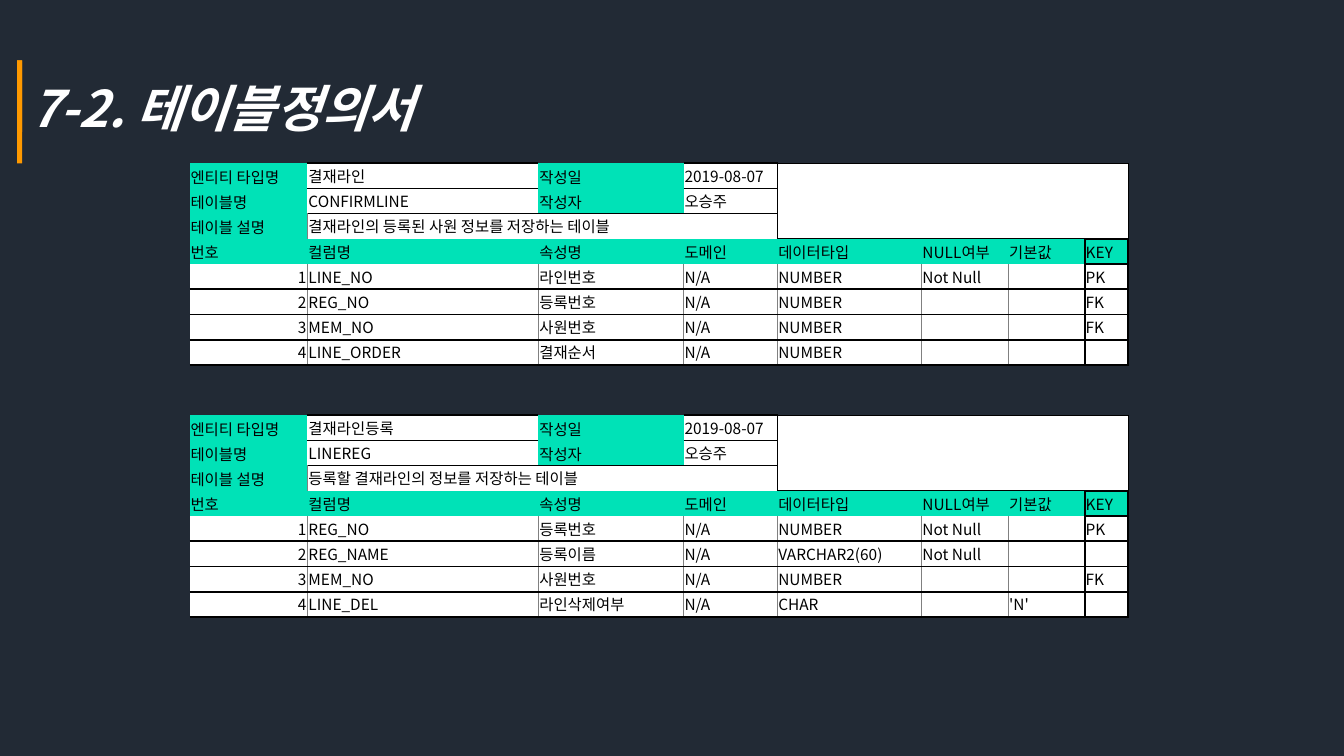
from lxml.etree import SubElement
from pptx import Presentation
from pptx.dml.color import RGBColor
from pptx.enum.shapes import MSO_SHAPE
from pptx.enum.text import MSO_ANCHOR, PP_ALIGN
from pptx.oxml.ns import qn
from pptx.util import Inches, Pt

FONT = "Noto Sans CJK KR"
NIGHT, TEAL, WHITE, BLACK, ORANGE = "222A35", "00E2B7", "FFFFFF", "000000", "FF9900"
GRAY, THIN, THICK = ("808080", 1), (BLACK, 0.75), (BLACK, 1.5)
COLS = [1.17, 2.29, 1.44, 0.93, 1.43, 0.86, 0.76, 0.43]
ROW = 0.25
HEADS = ["번호", "컬럼명", "속성명", "도메인", "데이터타입", "NULL여부", "기본값", "KEY"]


def color(code):
    return RGBColor.from_string(code)


def write(frame, text, size=11, tint=BLACK, bold=False, italic=False,
          align=PP_ALIGN.LEFT, spacing=1.0):
    para = frame.paragraphs[0]
    para.alignment = align
    para.line_spacing = spacing
    if not text:
        SubElement(para._p, qn("a:endParaRPr"), sz=str(size * 100))
        return
    run = para.add_run()
    run.text = text
    font = run.font
    font.size, font.bold, font.italic = Pt(size), bold, italic
    font.name = FONT
    font.color.rgb = color(tint)
    SubElement(font._element, qn("a:ea"), typeface=FONT)


def title(slide, left, top, text):
    for height in (0.71, 1.02):
        bar = slide.shapes.add_shape(MSO_SHAPE.RECTANGLE, Inches(left), Inches(top),
                                     Inches(0.05), Inches(height))
        bar.shadow.inherit = False
        bar.fill.solid()
        bar.fill.fore_color.rgb = color(ORANGE)
        bar.line.fill.background()
    box = slide.shapes.add_textbox(Inches(left + 0.03), Inches(top - 0.18),
                                   Inches(4.98), Inches(1.05))
    box.text_frame.word_wrap = True
    write(box.text_frame, text, size=36, tint=WHITE, bold=True, italic=True, spacing=1.5)


def edges(row, col):
    if row >= 3 and col == 7:
        return dict.fromkeys("LRTB", THICK)
    if row > 3:
        return {"L": GRAY if col else None, "R": THICK if col == 6 else GRAY,
                "T": THICK if row > 4 else None, "B": THICK}
    if row == 3:
        return {"T": THIN if col > 3 else None, "R": THICK if col == 6 else None}
    if col > 3:
        return {"L": THIN if col == 4 else None, "R": THIN if col == 7 else None,
                "T": THIN if row == 0 else None,
                "B": (THICK if col == 7 else THIN) if row == 2 else None}
    if row == 2:
        return {"L": GRAY, "T": THIN, "R": THIN} if col else {"R": GRAY}
    if col in (1, 3):
        return {"T": THICK, "B": THIN if row else THICK, "R": THIN if col == 3 else None}
    return {"B": THIN if row and col else None}


def border(cell, sides):
    props = cell._tc.get_or_add_tcPr()
    for side in "LRTB":
        style = sides.get(side)
        line = SubElement(props, qn(f"a:ln{side}"))
        if style:
            line.set("w", str(Pt(style[1])))
            fill = SubElement(line, qn("a:solidFill"))
            SubElement(fill, qn("a:srgbClr"), val=style[0])
        else:
            SubElement(line, qn("a:noFill"))


def entity(slide, left, top, kind, name, about, fields):
    rows = [["엔티티 타입명", kind, "작성일", "2019-08-07"],
            ["테이블명", name, "작성자", "오승주"],
            ["테이블 설명", about],
            HEADS]
    for num, (field, label, data, null, preset, key) in enumerate(fields, 1):
        rows.append([str(num), field, label, "N/A", data, null, preset, key])
    frame = slide.shapes.add_table(len(rows), len(COLS), Inches(left), Inches(top),
                                   Inches(sum(COLS)), Inches(ROW * len(rows)))
    grid = frame.table
    grid.first_row = grid.horz_banding = False
    for col, width in zip(grid.columns, COLS):
        col.width = Inches(width)
    for line in grid.rows:
        line.height = Inches(ROW)
    grid.cell(2, 1).merge(grid.cell(2, 3))
    for r, texts in enumerate(rows):
        for c in range(len(COLS)):
            cell = grid.cell(r, c)
            head = r == 3 or (r < 3 and c == 0) or (r < 2 and c == 2)
            border(cell, edges(r, c))
            cell.fill.solid()
            cell.fill.fore_color.rgb = color(TEAL if head else WHITE)
            cell.margin_left = cell.margin_right = cell.margin_top = Inches(0.01)
            cell.margin_bottom = 0
            cell.vertical_anchor = MSO_ANCHOR.MIDDLE if head else MSO_ANCHOR.TOP
            write(cell.text_frame, texts[c] if c < len(texts) else "",
                  align=PP_ALIGN.RIGHT if r > 3 and c == 0 else PP_ALIGN.LEFT)


def main():
    deck = Presentation()
    deck.slide_width, deck.slide_height = Inches(13.33), Inches(7.5)
    slide = deck.slides.add_slide(deck.slide_layouts[6])
    slide.background.fill.solid()
    slide.background.fill.fore_color.rgb = color(NIGHT)
    title(slide, 0.17, 0.6, "7-2. 테이블정의서")
    entity(slide, 1.88, 1.62, "결재라인", "CONFIRMLINE",
           "결재라인의 등록된 사원 정보를 저장하는 테이블", [
               ("LINE_NO", "라인번호", "NUMBER", "Not Null", "", "PK"),
               ("REG_NO", "등록번호", "NUMBER", "", "", "FK"),
               ("MEM_NO", "사원번호", "NUMBER", "", "", "FK"),
               ("LINE_ORDER", "결재순서", "NUMBER", "", "", "")])
    entity(slide, 1.88, 4.12, "결재라인등록", "LINEREG",
           "등록할 결재라인의 정보를 저장하는 테이블", [
               ("REG_NO", "등록번호", "NUMBER", "Not Null", "", "PK"),
               ("REG_NAME", "등록이름", "VARCHAR2(60)", "Not Null", "", ""),
               ("MEM_NO", "사원번호", "NUMBER", "", "", "FK"),
               ("LINE_DEL", "라인삭제여부", "CHAR", "", "'N'", "")])
    deck.save("out.pptx")


if __name__ == "__main__":
    main()
